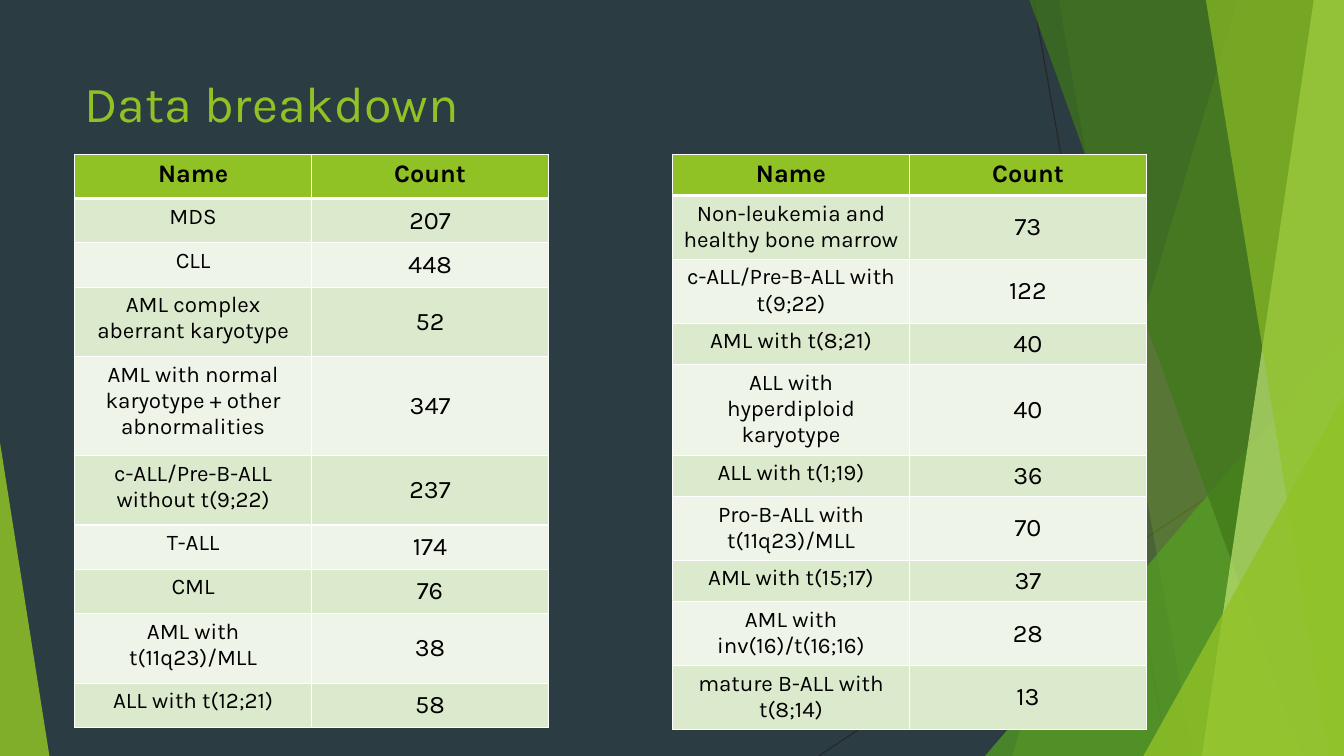
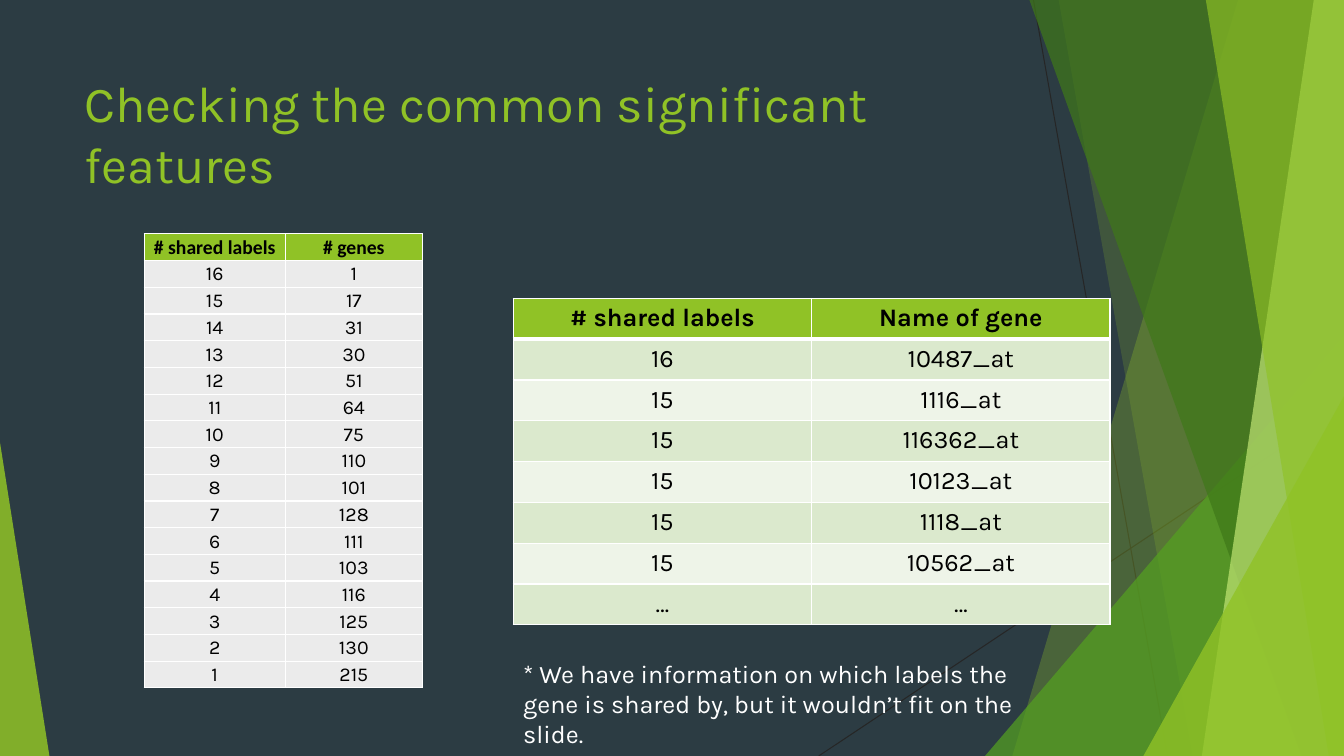
from pptx import Presentation
from pptx.dml.color import RGBColor
from pptx.enum.shapes import MSO_CONNECTOR, MSO_SHAPE
from pptx.enum.text import MSO_ANCHOR, MSO_AUTO_SIZE, PP_ALIGN
from pptx.oxml.ns import qn
from pptx.util import Inches, Pt
from lxml.etree import SubElement

# Shared style
W, H = 13.33, 7.5
FONT = "Karla"
BACK, GREEN, DARK, WHITE, BLACK = "2C3C43", "90C226", "262626", "FFFFFF", "000000"
BANDS = ("DBE9CD", "EEF4E8")
PLAIN = ("EBEBEB",)
TITLE_BOX = (0.74, 0.67, 9.4, 1.44)

# Facets from back to front: colour, opacity in percent, then
# (top x, bottom x) for a strip to the right edge or
# (left, top, width, height, apex) for a triangle
FACET_LINES = [(10.25, 0, 11.58, H), (W, 4.03, 8.12, H)]
FACETS = [
    (GREEN, 30, (12.28, 10.04)),
    (GREEN, 20, (10.5, 11.83)),
    ("54A021", 72, (9.77, 3.33, 3.56, 4.17, 1)),
    ("3F7819", 70, (10.21, 12.91)),
    ("C0E474", 70, (13.03, 11.92)),
    (GREEN, 65, (11.96, 13.18)),
    (GREEN, 80, (11.34, 3.93, 1.99, 3.57, 1)),
    (GREEN, 85, (0, 4.39, 0.49, 3.11, 0)),
]


def rgb(color):
    return RGBColor.from_string(color)


def inches(values):
    return [Inches(v) for v in values]


def paint(fill, color):
    fill.solid()
    fill.fore_color.rgb = rgb(color)


def add_run(p, text, size, color, font=FONT, bold=False):
    r = p.add_run()
    r.text = text
    r.font.name = font
    r.font.size = Pt(size)
    r.font.bold = bold
    r.font.color.rgb = rgb(color)


def add_text(s, box, text, size, color):
    tf = s.shapes.add_textbox(*inches(box)).text_frame
    tf.word_wrap = True
    add_run(tf.paragraphs[0], text, size, color)
    return tf


# Background decoration
def add_strip(s, top_x, bottom_x):
    corners = [(W, 0), (W, H), (bottom_x, H)]
    builder = s.shapes.build_freeform(Inches(top_x), 0)
    builder.add_line_segments([inches(c) for c in corners], close=True)
    return builder.convert_to_shape()


def add_triangle(s, x, y, w, h, apex):
    sp = s.shapes.add_shape(MSO_SHAPE.ISOSCELES_TRIANGLE, *inches((x, y, w, h)))
    sp.adjustments[0] = apex
    return sp


def add_facets(s):
    for ends in FACET_LINES:
        line = s.shapes.add_connector(MSO_CONNECTOR.STRAIGHT, *inches(ends))
        line.line.color.rgb = rgb(DARK)
        line.line.width = Pt(0.75)
        SubElement(line.element.spPr, qn("a:effectLst"))
    for color, opacity, shape in FACETS:
        sp = add_strip(s, *shape) if len(shape) == 2 else add_triangle(s, *shape)
        sp.shadow.inherit = False
        sp.line.fill.background()
        paint(sp.fill, color)
        clr = sp.element.spPr.find(qn("a:solidFill")).find(qn("a:srgbClr"))
        SubElement(clr, qn("a:alpha"), val=str(opacity * 1000))


def add_slide(prs, title):
    s = prs.slides.add_slide(prs.slide_layouts[6])
    paint(s.background.fill, BACK)
    add_facets(s)
    add_text(s, TITLE_BOX, title, 36, GREEN)
    return s


# Tables
def set_borders(cell, top, bottom):
    tcPr = cell._tc.get_or_add_tcPr()
    for side, width in (("L", 1), ("R", 1), ("T", top), ("B", bottom)):
        ln = SubElement(tcPr, qn("a:ln" + side), w=str(Pt(width)))
        SubElement(SubElement(ln, qn("a:solidFill")), qn("a:srgbClr"), val=WHITE)


def add_grid(s, x, y, widths, heights, rows, sizes=(18, 18), head_size=18,
             head_font=FONT, fills=BANDS, rule=3, middle=(), inset=None):
    """Header row plus body rows; middle lists the body columns centred vertically."""
    box = inches((x, y, sum(widths), sum(heights)))
    table = s.shapes.add_table(len(rows), len(widths), *box).table
    table.first_row = table.horz_banding = False
    for column, width in zip(table.columns, widths):
        column.width = Inches(width)
    for i, (row, height) in enumerate(zip(rows, heights)):
        table.rows[i].height = Inches(height)
        head = i == 0
        for j, text in enumerate(row):
            cell = table.cell(i, j)
            set_borders(cell, rule if i == 1 else 1, rule if head else 1)
            paint(cell.fill, GREEN if head else fills[(i - 1) % len(fills)])
            if inset is not None:
                cell.margin_left = cell.margin_right = cell.margin_top = Inches(inset)
                cell.margin_bottom = 0
            if inset is not None or (j in middle and not head):
                cell.vertical_anchor = MSO_ANCHOR.MIDDLE
            p = cell.text_frame.paragraphs[0]
            p.alignment = PP_ALIGN.CENTER
            add_run(p, text, head_size if head else sizes[j], BLACK,
                    head_font if head else FONT, head)


# Slide 1: sample counts
LEFT_COUNTS = [
    ("Name", "Count"),
    ("MDS", "207"),
    ("CLL", "448"),
    ("AML complex aberrant karyotype", "52"),
    ("AML with normal karyotype + other abnormalities", "347"),
    ("c-ALL/Pre-B-ALL without t(9;22)", "237"),
    ("T-ALL", "174"),
    ("CML", "76"),
    ("AML with t(11q23)/MLL", "38"),
    ("ALL with t(12;21)", "58"),
]
RIGHT_COUNTS = [
    ("Name", "Count"),
    ("Non-leukemia and healthy bone marrow", "73"),
    ("c-ALL/Pre-B-ALL with t(9;22)", "122"),
    ("AML with t(8;21)", "40"),
    ("ALL with hyperdiploid karyotype", "40"),
    ("ALL with t(1;19)", "36"),
    ("Pro-B-ALL with t(11q23)/MLL", "70"),
    ("AML with t(15;17)", "37"),
    ("AML with inv(16)/t(16;16)", "28"),
    ("mature B-ALL with t(8;14)", "13"),
]
LEFT_LINES = [1, 1, 1, 2, 3, 2, 1, 1, 2, 1]
LINE_HEIGHTS = {1: 0.44, 2: 0.69, 3: 0.98}


def breakdown_slide(prs):
    s = add_slide(prs, "Data breakdown")
    left_heights = [LINE_HEIGHTS[n] for n in LEFT_LINES]
    right_heights = [0.41] * len(RIGHT_COUNTS)
    for x, heights, rows in ((0.74, left_heights, LEFT_COUNTS),
                             (6.67, right_heights, RIGHT_COUNTS)):
        add_grid(s, x, 1.53, [2.35] * 2, heights, rows, sizes=(16, 18), middle=(1,))


# Slide 2: genes shared between labels
GENE_COUNTS = [1, 17, 31, 30, 51, 64, 75, 110, 101, 128, 111, 103, 116, 125, 130, 215]
GENE_NAMES = ["10487_at", "1116_at", "116362_at", "10123_at", "1118_at", "10562_at"]


def features_slide(prs):
    s = add_slide(prs, "Checking the common significant features")
    counts = [("# shared labels", "# genes")]
    counts += [(str(16 - i), str(n)) for i, n in enumerate(GENE_COUNTS)]
    add_grid(s, 1.43, 2.32, [1.4, 1.36], [4.51 / len(counts)] * len(counts), counts,
             sizes=(14, 14), head_size=14, head_font="Calibri", fills=PLAIN,
             rule=1, inset=0.01)

    names = [("# shared labels", "Name of gene")]
    names += [("15" if i else "16", name) for i, name in enumerate(GENE_NAMES)]
    names.append(("…", "…"))
    add_grid(s, 5.09, 2.96, [2.96] * 2, [3.24 / len(names)] * len(names), names)

    note = add_text(s, (5.09, 6.48, 5.57, 0.71),
                    "* We have information on which labels the gene is shared by, "
                    "but it wouldn’t fit on the slide.", 18, WHITE)
    note.auto_size = MSO_AUTO_SIZE.SHAPE_TO_FIT_TEXT


prs = Presentation()
prs.slide_width, prs.slide_height = inches((W, H))
breakdown_slide(prs)
features_slide(prs)
prs.save("out.pptx")
